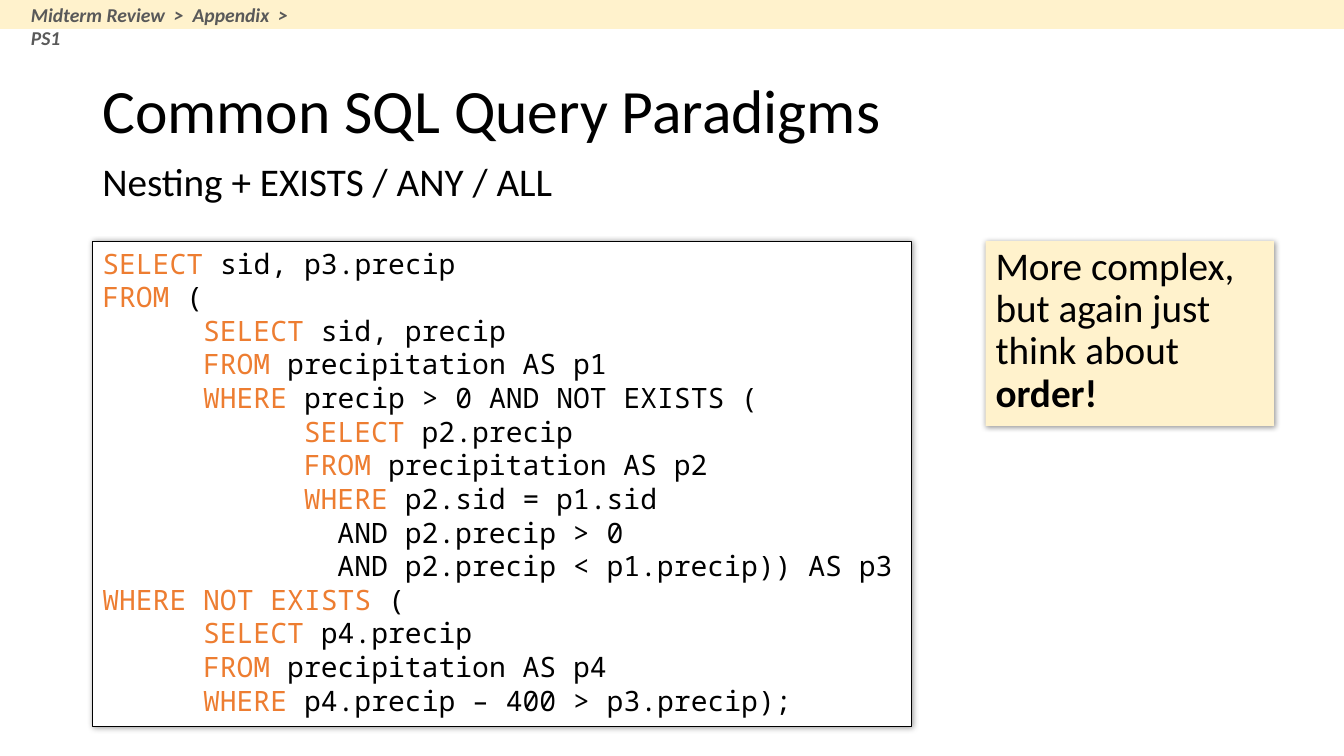
"""Build the slide on nested SQL queries with EXISTS, ANY and ALL."""
from lxml.etree import SubElement
from pptx import Presentation
from pptx.dml.color import RGBColor
from pptx.enum.shapes import MSO_SHAPE as Shape
from pptx.enum.text import MSO_ANCHOR as Anchor, PP_ALIGN as Align
from pptx.oxml.ns import qn
from pptx.util import Pt

BLACK, WHITE, CREAM, ORANGE, GREY = "000000", "FFFFFF", "FFF2CC", "ED7D31", "595959"


def color(value):
    return RGBColor.from_string(value)


def write(shape, lines, size, font="Calibri", spacing=None, anchor=Anchor.TOP, tabs=()):
    """Fill a shape with lines, each a list of (text, colour, bold, italic) runs."""
    frame = shape.text_frame
    frame.word_wrap = True
    frame.vertical_anchor = anchor
    for number, runs in enumerate(lines):
        paragraph = frame.add_paragraph() if number else frame.paragraphs[0]
        paragraph.alignment = Align.LEFT
        paragraph.line_spacing = spacing
        if tabs:
            tab_list = SubElement(paragraph._p.get_or_add_pPr(), qn("a:tabLst"))
            for position in tabs:
                SubElement(tab_list, qn("a:tab"), pos=str(Pt(position)), algn="l")
        for text, text_color, bold, italic in runs:
            run = paragraph.add_run()
            run.text = text
            run.font.name = font
            run.font.size = Pt(size)
            run.font.bold = bold
            run.font.italic = italic
            run.font.color.rgb = color(text_color)


presentation = Presentation()
presentation.slide_width = Pt(960)
presentation.slide_height = Pt(540)
slide = presentation.slides.add_slide(presentation.slide_layouts[6])
shapes = slide.shapes

title = shapes.add_textbox(Pt(66), Pt(28.75), Pt(828), Pt(104.4))
write(title, [[("Common SQL Query Paradigms", BLACK, False, False)]], 44,
      spacing=0.9, anchor=Anchor.MIDDLE)

subtitle = shapes.add_textbox(Pt(66), Pt(113), Pt(828), Pt(40.3))
write(subtitle, [[("Nesting + EXISTS / ANY / ALL", BLACK, False, False)]], 28, spacing=0.9)

panels = []
for left, top, width, height, fill, shadowed in (
    (66, 172.3, 585.4, 346.4, WHITE, True),
    (704, 172.3, 206, 132, CREAM, True),
    (0, 0, 960, 20.7, CREAM, False),
):
    panel = shapes.add_shape(Shape.RECTANGLE, Pt(left), Pt(top), Pt(width), Pt(height))
    panel.fill.solid()
    panel.fill.fore_color.rgb = color(fill)
    panel.line.fill.background()
    panel.shadow.inherit = False
    if shadowed:
        effects = panel._element.spPr.find(qn("a:effectLst"))
        shadow = SubElement(effects, qn("a:outerShdw"), blurRad=str(Pt(4)), dist=str(Pt(1)),
                            dir="2700000", algn="tl", rotWithShape="0")
        shade = SubElement(shadow, qn("a:srgbClr"), val=BLACK)
        SubElement(shade, qn("a:alpha"), val="40000")
    panels.append(panel)
query_box, note_box, header_bar = panels

query_box.line.color.rgb = color(BLACK)
query_box.line.width = Pt(0.75)

query = (
    ("SELECT", " sid, p3.precip"),
    ("FROM", " ("),
    ("\tSELECT", " sid, precip"),
    ("\tFROM", " precipitation AS p1"),
    ("\tWHERE", " precip > 0 AND NOT EXISTS ("),
    ("\t\tSELECT", " p2.precip"),
    ("\t\tFROM", " precipitation AS p2"),
    ("\t\tWHERE", " p2.sid = p1.sid"),
    ("", "\t\t  AND p2.precip > 0"),
    ("", "\t\t  AND p2.precip < p1.precip)) AS p3"),
    ("WHERE NOT EXISTS", " ("),
    ("\tSELECT", " p4.precip"),
    ("\tFROM", " precipitation AS p4"),
    ("\tWHERE", " p4.precip – 400 > p3.precip);"),
)
code_lines = [
    [(text, text_color, False, False)
     for text, text_color in ((keyword, ORANGE), (rest, BLACK)) if text]
    for keyword, rest in query
]
write(query_box, code_lines, 20, font="Noto Sans Mono", tabs=(72, 144))

write(note_box, [[("More complex, but again just think about ", BLACK, False, False),
                  ("order!", BLACK, True, False)]], 28, spacing=0.9)

breadcrumb = shapes.add_textbox(Pt(15), Pt(-1.5), Pt(219.6), Pt(24.3))
write(breadcrumb, [[("Midterm Review  >  Appendix  >  PS1", GREY, True, True)]], 14)

presentation.save("out.pptx")
